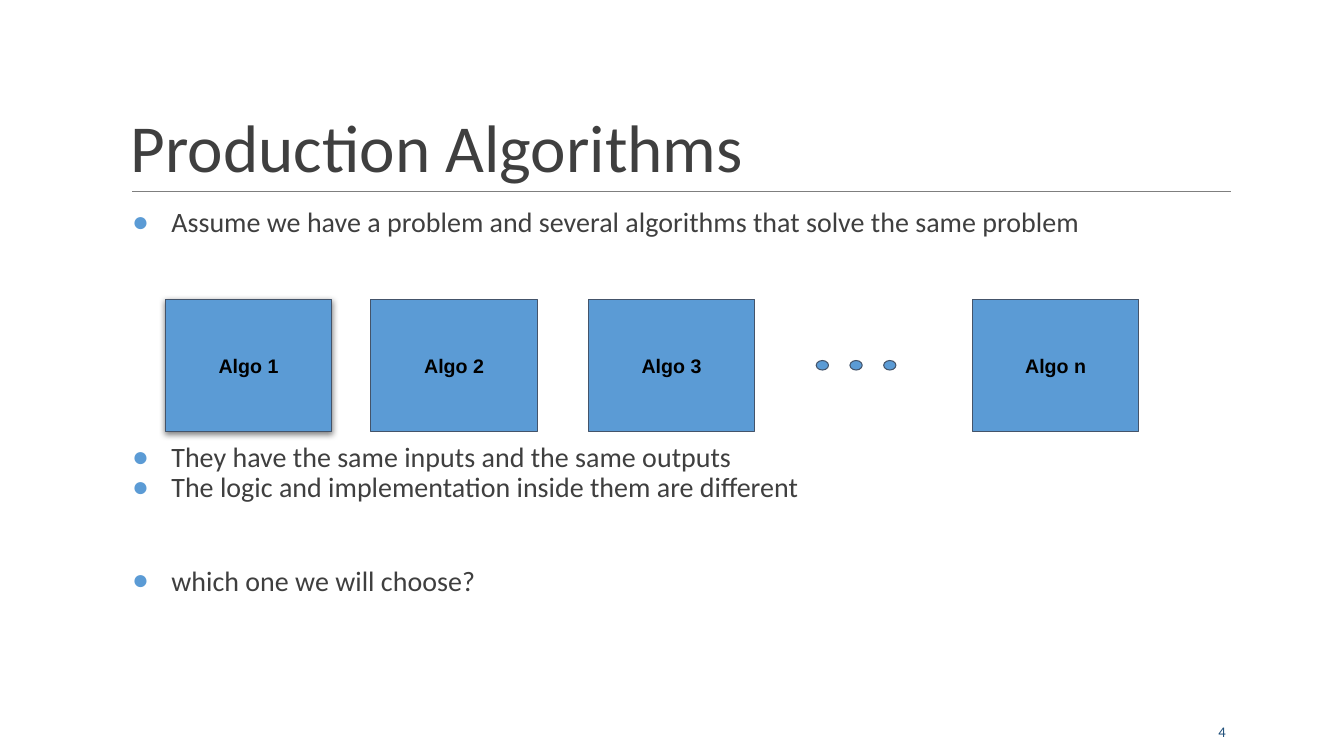
import collections
import dataclasses

import pptx
import pptx.dml.color
import pptx.enum.shapes
import pptx.enum.text
import pptx.oxml
import pptx.oxml.ns
import pptx.util

Cm = pptx.util.Cm
Pt = pptx.util.Pt
ANCHOR = pptx.enum.text.MSO_ANCHOR
ALIGN = pptx.enum.text.PP_ALIGN
SHAPE = pptx.enum.shapes.MSO_SHAPE
Box = collections.namedtuple("Box", "left top width height")


@dataclasses.dataclass(frozen=True)
class Theme:
    text_font: str = "Calibri"
    box_font: str = "Arial"
    text: str = "3F3F3F"
    accent: str = "5B9BD5"
    outline: str = "44546A"
    rule: str = "7F7F7F"
    number: str = "1E4E79"
    black: str = "000000"
    title_size: float = 48
    body_size: float = 20
    box_size: float = 14
    number_size: float = 10.5
    line_width: float = 0.75


THEME = Theme()


def rgb(code):
    return pptx.dml.color.RGBColor.from_string(code)


def place(shape, box):
    shape.left, shape.top, shape.width, shape.height = map(Cm, box)


def add_xml(parent, xml):
    declaration = pptx.oxml.ns.nsdecls("a")
    parent.append(pptx.oxml.parse_xml(xml.replace(" ", f" {declaration} ", 1)))


def set_frame(frame, anchor, inset_x=0.25, inset_y=0.13):
    frame.word_wrap = True
    frame.auto_size = pptx.enum.text.MSO_AUTO_SIZE.NONE
    frame.vertical_anchor = anchor
    frame.margin_left = frame.margin_right = Cm(inset_x)
    frame.margin_top = frame.margin_bottom = Cm(inset_y)


def add_run(paragraph, text, size, color, font=THEME.text_font, bold=False):
    run = paragraph.add_run()
    run.text = text
    run.font.name = font
    run.font.size = Pt(size)
    run.font.bold = bold
    run.font.color.rgb = rgb(color)


def add_heading(slide, box, text):
    heading = slide.shapes.title
    place(heading, box)
    set_frame(heading.text_frame, ANCHOR.BOTTOM)
    paragraph = heading.text_frame.paragraphs[0]
    paragraph.alignment = ALIGN.LEFT
    paragraph.line_spacing = 0.85
    add_run(paragraph, text, THEME.title_size, THEME.text)

    rule_left, rule_y = box.left + 0.28, box.top + box.height
    rule = slide.shapes.add_connector(
        pptx.enum.shapes.MSO_CONNECTOR.STRAIGHT,
        Cm(rule_left), Cm(rule_y), Cm(rule_left + 27.69), Cm(rule_y))
    rule.line.color.rgb = rgb(THEME.rule)
    rule.line.width = Pt(THEME.line_width)
    add_xml(rule._element.spPr, "<a:effectLst />")


def add_bullets(slide, box, points):
    frame = slide.shapes.add_textbox(*map(Cm, box)).text_frame
    set_frame(frame, ANCHOR.TOP, inset_x=0)
    for index, (text, space_before) in enumerate(points):
        paragraph = frame.add_paragraph() if index else frame.paragraphs[0]
        properties = paragraph._p.get_or_add_pPr()
        properties.set("marL", str(Cm(1.27)))
        properties.set("indent", str(-Cm(0.99)))
        add_xml(properties, f'<a:buClr ><a:srgbClr val="{THEME.accent}"/></a:buClr>')
        add_xml(properties, f'<a:buFont typeface="{THEME.box_font}"/>')
        add_xml(properties, '<a:buChar char="●"/>')
        paragraph.line_spacing = 0.9
        paragraph.space_before = Pt(space_before)
        add_run(paragraph, text, THEME.body_size, THEME.text)


def add_filled(slide, preset, box):
    shape = slide.shapes.add_shape(preset, *map(Cm, box))
    shape.shadow.inherit = False
    shape.fill.solid()
    shape.fill.fore_color.rgb = rgb(THEME.accent)
    shape.line.color.rgb = rgb(THEME.outline)
    shape.line.width = Pt(THEME.line_width)
    return shape


def add_shadow(shape):
    effects = shape._element.spPr.find(pptx.oxml.ns.qn("a:effectLst"))
    add_xml(effects,
            f'<a:outerShdw blurRad="{Pt(4.5)}" dist="{Pt(1.5)}" dir="5400000" '
            f'algn="ctr" rotWithShape="0"><a:srgbClr val="{THEME.black}">'
            '<a:alpha val="50000"/></a:srgbClr></a:outerShdw>')


def add_algorithms(slide, box, algorithms):
    for index, (label, offset) in enumerate(algorithms):
        algorithm = add_filled(
            slide, SHAPE.RECTANGLE,
            Box(box.left + offset, box.top, 4.19, box.height))
        if index == 0:
            add_shadow(algorithm)
        set_frame(algorithm.text_frame, ANCHOR.MIDDLE, inset_y=0.25)
        paragraph = algorithm.text_frame.paragraphs[0]
        paragraph.alignment = ALIGN.CENTER
        add_run(paragraph, label, THEME.box_size, THEME.black, THEME.box_font, True)

    dot_width, dot_height = 0.31, 0.24
    dot_top = box.top + (box.height - dot_height) / 2
    for index in range(3):
        dot_left = box.left + 16.4 + index * 0.85
        add_filled(slide, SHAPE.OVAL, Box(dot_left, dot_top, dot_width, dot_height))


def add_slide_number(slide, box, number):
    frame = slide.shapes.add_textbox(*map(Cm, box)).text_frame
    set_frame(frame, ANCHOR.MIDDLE)
    paragraph = frame.paragraphs[0]
    paragraph.alignment = ALIGN.RIGHT
    add_run(paragraph, number, THEME.number_size, THEME.number)


def main():
    deck = pptx.Presentation()
    deck.slide_width, deck.slide_height = Cm(33.87), Cm(19.05)
    slide = deck.slides.add_slide(deck.slide_layouts[5])
    add_heading(slide, Box(3.05, 0.79, 27.94, 4.04), "Production Algorithms")
    add_bullets(slide, Box(3.05, 5.13, 27.94, 11.18), [
        ("Assume we have a problem and several algorithms that solve the same problem", 0),
        ("They have the same inputs and the same outputs", 146),
        ("The logic and implementation inside them are different", 0),
        ("which one we will choose?", 45),
    ])
    add_slide_number(slide, Box(27.51, 17.93, 3.63, 1.02), "4")
    add_algorithms(slide, Box(4.17, 7.54, 24.53, 3.33), [
        ("Algo 1", 0), ("Algo 2", 5.18), ("Algo 3", 10.66), ("Algo n", 20.34),
    ])
    deck.save("out.pptx")


if __name__ == "__main__":
    main()
